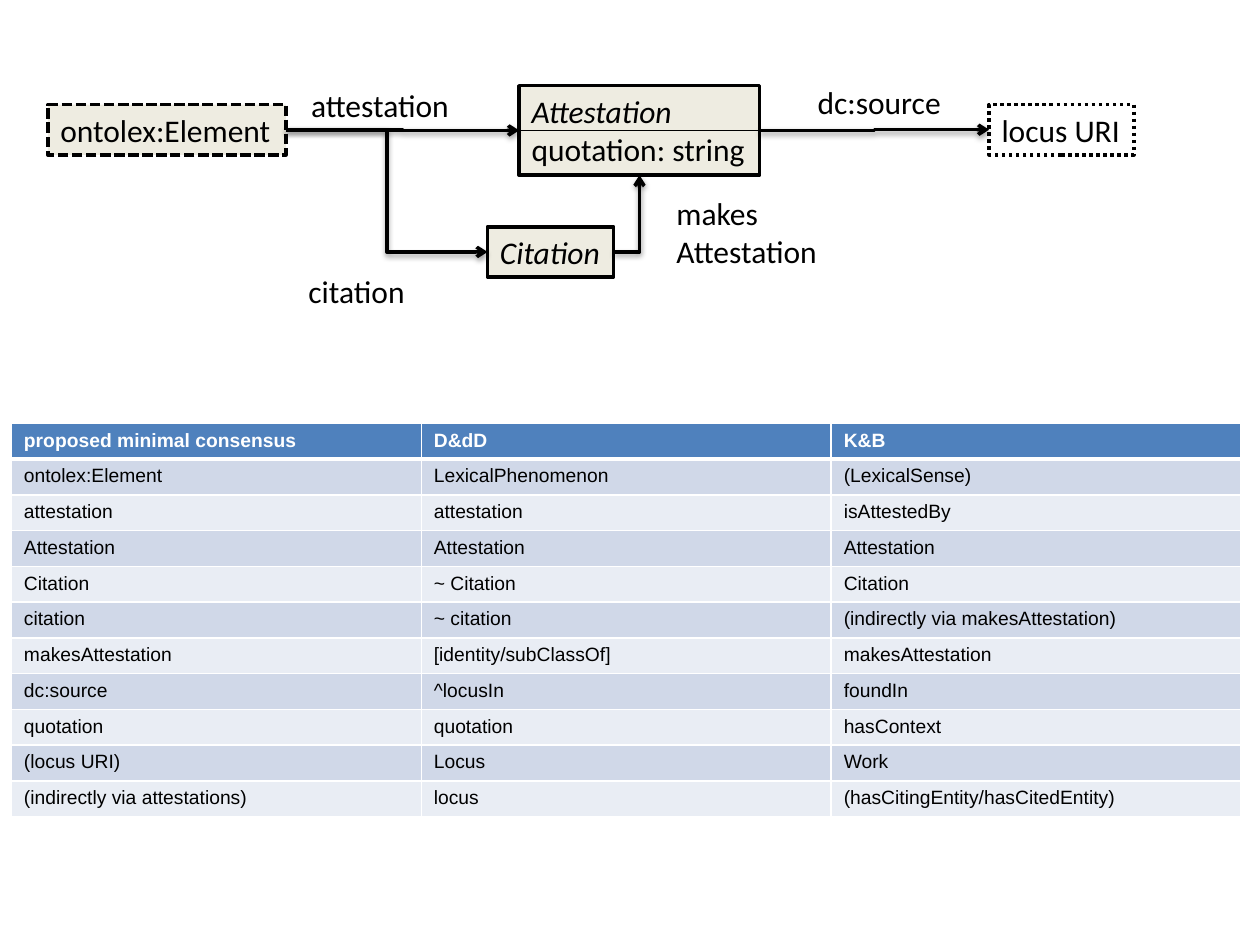
from lxml.etree import SubElement
from pptx import Presentation
from pptx.dml.color import RGBColor
from pptx.enum.dml import MSO_LINE
from pptx.enum.shapes import MSO_CONNECTOR, MSO_SHAPE
from pptx.enum.text import MSO_ANCHOR, MSO_AUTO_SIZE, PP_ALIGN
from pptx.oxml.ns import qn
from pptx.util import Inches, Pt

WIDTH, HEIGHT = Inches(10), Inches(7.5)
COLS, ROWS = 100, 75
COLORS = {"ink": "000000", "paper": "FFFFFF", "node": "EEECE1",
          "head": "4F81BD", "odd": "D0D8E8", "even": "E9EDF4"}
TOP, LEFT, BOTTOM, RIGHT = range(4)

TERMS = [
    ("proposed minimal consensus", "D&dD", "K&B"),
    ("ontolex:Element", "LexicalPhenomenon", "(LexicalSense)"),
    ("attestation", "attestation", "isAttestedBy"),
    ("Attestation", "Attestation", "Attestation"),
    ("Citation", "~ Citation", "Citation"),
    ("citation", "~ citation", "(indirectly via makesAttestation)"),
    ("makesAttestation", "[identity/subClassOf]", "makesAttestation"),
    ("dc:source", "^locusIn", "foundIn"),
    ("quotation", "quotation", "hasContext"),
    ("(locus URI)", "Locus", "Work"),
    ("(indirectly via attestations)", "locus", "(hasCitingEntity/hasCitedEntity)"),
]


def color(name):
    return RGBColor.from_string(COLORS[name])


def place(box, col=0, row=0, cols=None, rows=None):
    left, top, wide, high = box
    return (round((left + col) * WIDTH / COLS), round((top + row) * HEIGHT / ROWS),
            round((cols or wide) * WIDTH / COLS), round((rows or high) * HEIGHT / ROWS))


def write(frame, text, size=18, font="Calibri", ink="ink", bold=False, italics=()):
    for i, line in enumerate(text.split("\n")):
        para = frame.paragraphs[0] if i == 0 else frame.add_paragraph()
        para.alignment = PP_ALIGN.LEFT
        run = para.add_run()
        run.text = line
        run.font.size, run.font.name = Pt(size), font
        run.font.bold, run.font.italic = bold, i in italics
        run.font.color.rgb = color(ink)


def fit(frame):
    frame.word_wrap = False
    frame.auto_size = MSO_AUTO_SIZE.SHAPE_TO_FIT_TEXT
    frame.vertical_anchor = MSO_ANCHOR.TOP


def label(slide, spot, text):
    frame = slide.shapes.add_textbox(*spot).text_frame
    fit(frame)
    write(frame, text)


def node(slide, spot, text, fill="node", dash=None, italics=()):
    shape = slide.shapes.add_shape(MSO_SHAPE.RECTANGLE, *spot)
    shape.shadow.inherit = False
    if fill:
        shape.fill.solid()
        shape.fill.fore_color.rgb = color(fill)
    else:
        shape.fill.background()
    shape.line.color.rgb = color("ink")
    shape.line.width = Pt(2)
    if dash:
        shape.line.dash_style = dash
    fit(shape.text_frame)
    write(shape.text_frame, text, italics=italics)
    return shape


def join(slide, start, end, kind=MSO_CONNECTOR.ELBOW, width=2):
    link = slide.shapes.add_connector(kind, 0, 0, 0, 0)
    link.begin_connect(*start)
    link.end_connect(*end)
    link.line.color.rgb = color("ink")
    link.line.width = Pt(width)
    effects = SubElement(link._element.spPr, qn("a:effectLst"))
    if kind == MSO_CONNECTOR.ELBOW:
        SubElement(link.line._get_or_add_ln(), qn("a:tailEnd"), type="arrow")
        shade = SubElement(effects, qn("a:outerShdw"), blurRad="40000",
                           dist="20000", dir="5400000", rotWithShape="0")
        tone = SubElement(shade, qn("a:srgbClr"), val=COLORS["ink"])
        SubElement(tone, qn("a:alpha"), val="38000")
    return link


def diagram(slide, box):
    item = node(slide, place(box, 0, 2.2, 18.9, 4), "ontolex:Element",
                dash=MSO_LINE.SQUARE_DOT)
    proof = node(slide, place(box, 37.4, 0.7, 19.1, 7.1),
                 "Attestation\nquotation: string", italics=(0,))
    cite = node(slide, place(box, 34.9, 11.9, 10, 4), "Citation", italics=(0,))
    locus = node(slide, place(box, 74.7, 2.2, 11.5, 4), "locus URI",
                 fill=None, dash=MSO_LINE.ROUND_DOT)

    join(slide, (item, RIGHT), (proof, LEFT))
    join(slide, (proof, RIGHT), (locus, LEFT))
    join(slide, (item, RIGHT), (cite, LEFT))
    join(slide, (proof, LEFT), (proof, RIGHT), MSO_CONNECTOR.STRAIGHT, 0.75)
    bend = join(slide, (cite, RIGHT), (proof, BOTTOM))
    bend._element.spPr.find(qn("a:prstGeom")).set("prst", "bentConnector2")

    label(slide, place(box, 19.9, 0.2, 13.1, 4), "attestation")
    label(slide, place(box, 60.1, 0, 11.9, 4), "dc:source")
    label(slide, place(box, 19.7, 15, 9.7, 4), "citation")
    label(slide, place(box, 48.9, 8.8, 13.3, 7.1), "makes\nAttestation")


def border(cell, row):
    props = cell._tc.get_or_add_tcPr()
    heavy = {0: "lnB", 1: "lnT"}.get(row)
    for side in ("lnL", "lnR", "lnT", "lnB"):
        width = Pt(3 if side == heavy else 1)
        line = SubElement(props, qn(f"a:{side}"), w=str(width))
        fill = SubElement(line, qn("a:solidFill"))
        SubElement(fill, qn("a:srgbClr"), val=COLORS["paper"])


def terms(slide, box):
    table = slide.shapes.add_table(len(TERMS), len(TERMS[0]), *place(box)).table
    for i, words in enumerate(TERMS):
        for j, word in enumerate(words):
            cell = table.cell(i, j)
            border(cell, i)
            cell.fill.solid()
            cell.fill.fore_color.rgb = color("head" if i == 0 else "odd" if i % 2 else "even")
            write(cell.text_frame, word, size=11, font="Arial",
                  ink="ink" if i else "paper", bold=i == 0)


def main():
    deck = Presentation()
    deck.slide_width, deck.slide_height = WIDTH, HEIGHT
    slide = deck.slides.add_slide(deck.slide_layouts[6])
    diagram(slide, (3.8, 6.1, 86.2, 19))
    terms(slide, (0.9, 33.6, 97.6, 31.2))
    deck.save("out.pptx")


if __name__ == "__main__":
    main()
